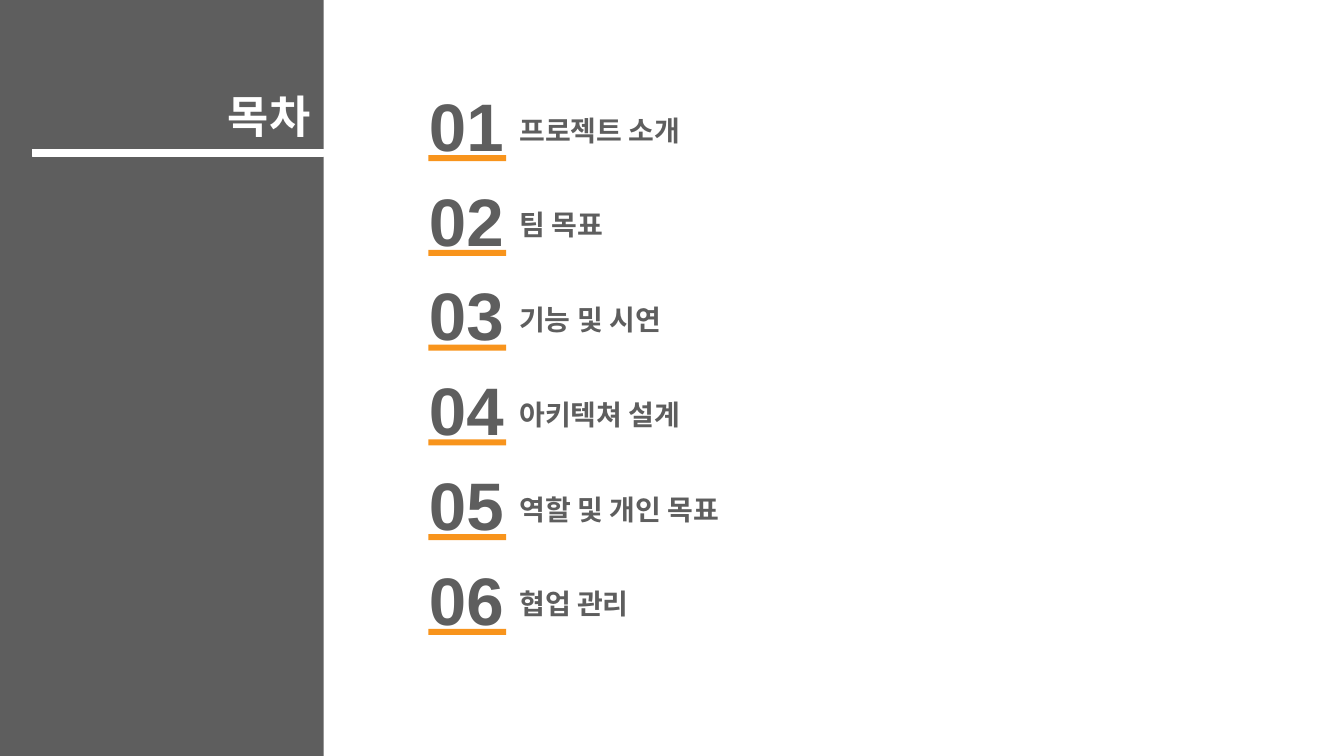
"""Build a table of contents slide with a grey side bar and numbered items."""
import pptx
import pptx.dml.color
import pptx.enum.shapes
import pptx.enum.text
import pptx.oxml.ns
import pptx.util
from lxml import etree

LATIN, HANGUL = "Arial", "Noto Sans CJK KR"
GREY, ORANGE, WHITE = "5E5E5E", "F8941C", "FFFFFF"
HEAD = "목차"
ITEMS = [
    ("프로젝트 소개", LATIN, 2.11),
    ("팀\u00a0목표".replace("\u00a0", " "), HANGUL, 2.11),
    ("기능 및 시연", HANGUL, 3.27),
    ("아키텍쳐 설계", HANGUL, 2.72),
    ("역할 및 개인 목표", LATIN, 2.72),
    ("협업 관리", LATIN, 2.72),
]
WIDE, HIGH = 13.33, 7.5
SIDE = 3.21
TOP, STEP = 0.86, 0.94
ALIGN = pptx.enum.text.PP_ALIGN

deck = pptx.Presentation()
deck.slide_width = pptx.util.Inches(WIDE)
deck.slide_height = pptx.util.Inches(HIGH)
slide = deck.slides.add_slide(deck.slide_layouts[6])


def tint(code):
    """Return the colour for a hex string."""
    return pptx.dml.color.RGBColor.from_string(code)


def place(*box):
    """Return lengths in inches as slide units."""
    return [pptx.util.Inches(size) for size in box]


def bar(box, fill, line=None):
    """Add a plain filled rectangle."""
    kind = pptx.enum.shapes.MSO_SHAPE.RECTANGLE
    shape = slide.shapes.add_shape(kind, *place(*box))
    shape.shadow.inherit = False
    shape.fill.solid()
    shape.fill.fore_color.rgb = tint(fill)
    if line:
        shape.line.color.rgb = tint(line)
        shape.line.width = pptx.util.Pt(0.75)
    else:
        shape.line.fill.background()


def label(box, text, size, face, color, align):
    """Add one bold line of text, centred in height."""
    frame = slide.shapes.add_textbox(*place(*box)).text_frame
    frame.word_wrap = True
    frame.vertical_anchor = pptx.enum.text.MSO_ANCHOR.MIDDLE
    inset = pptx.util.Inches(0.13)
    frame.margin_left = frame.margin_right = inset
    frame.margin_top = frame.margin_bottom = inset
    para = frame.paragraphs[0]
    para.text = text
    para.alignment = align
    font = para.font
    font.size = pptx.util.Pt(size)
    font.bold = True
    font.name = face
    font.color.rgb = tint(color)
    name = pptx.oxml.ns.qn
    base = para._p.pPr.find(name("a:defRPr"))
    etree.SubElement(base, name("a:ea"), typeface=HANGUL)


bar((0, 0, SIDE, HIGH), GREY)
for row, (text, face, width) in enumerate(ITEMS):
    top = TOP + row * STEP
    label((5.02, top + 0.08, width, 0.7), text, 20, face, GREY, ALIGN.LEFT)
    label((4.02, top, 1.21, 0.75), f"{row + 1:02}", 48, LATIN, GREY, ALIGN.CENTER)
    bar((4.25, top + 0.68, 0.77, 0.06), ORANGE)
bar((0.32, 1.48, SIDE - 0.32, 0.07), WHITE, WHITE)
label((0.78, 0.85, SIDE - 0.78, 0.6), HEAD, 32, HANGUL, WHITE, ALIGN.RIGHT)

deck.save("out.pptx")
